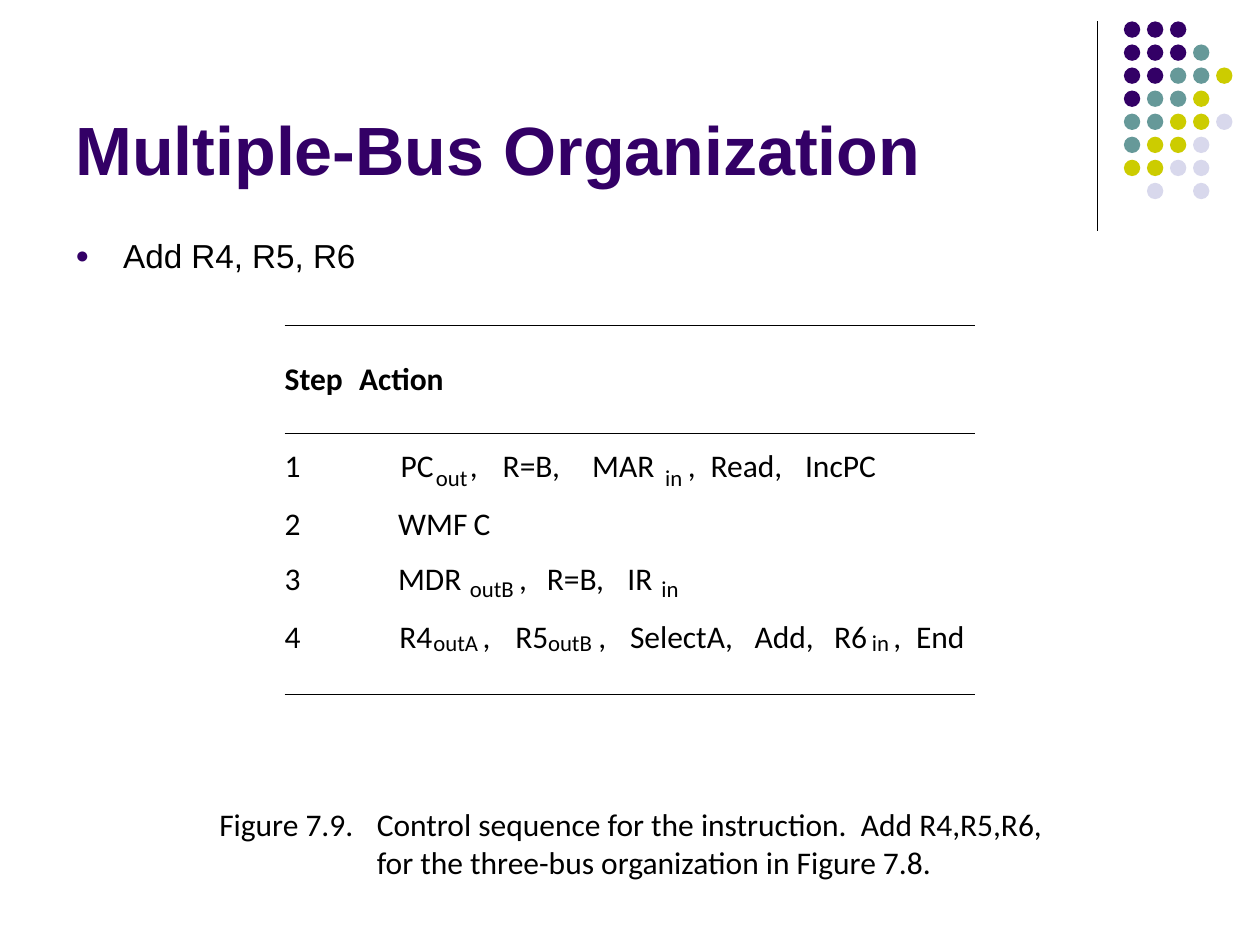
from lxml.etree import SubElement
from pptx import Presentation
from pptx.dml.color import RGBColor
from pptx.enum.shapes import MSO_CONNECTOR, MSO_SHAPE
from pptx.enum.text import MSO_ANCHOR, MSO_AUTO_SIZE
from pptx.oxml.ns import qn
from pptx.util import Inches, Pt

PURPLE = RGBColor(0x33, 0x00, 0x66)
TEAL = RGBColor(0x66, 0x99, 0x99)
OLIVE = RGBColor(0xCC, 0xCC, 0x00)
LAVENDER = RGBColor(0xD8, 0xD8, 0xEC)
BLACK = RGBColor(0x00, 0x00, 0x00)

DOT_COLORS = {"P": PURPLE, "T": TEAL, "O": OLIVE, "L": LAVENDER}
DOT_ROWS = ["PPP", "PPPT", "PPTTO", "PTTO", "TTOOL", "TOOL", "OOLL", " L L"]
DOT_LEFT, DOT_TOP, DOT_PITCH, DOT_SIZE = 8.92, 0.17, 0.183, 0.13

TABLE_LEFT, TABLE_RIGHT = 2.26, 7.74
RULE_TOPS = [2.58, 3.44, 5.51]
HEADER_TOP = 2.85
HEADINGS = [(TABLE_LEFT, "Step"), (2.85, "Action")]
SUBSCRIPTS = {"out", "in", "outA", "outB"}

STEPS = [
    (3.54, 0.14, [(3.18, "PC"), (3.46, "out"), (3.73, ","), (3.99, "R=B,"), (4.7, "MAR"),
                  (5.28, "in"), (5.46, ","), (5.64, "Read,"), (6.39, "IncPC")]),
    (4.0, 0, [(3.16, "WMF"), (3.76, "C")]),
    (4.44, 0.12, [(3.16, "MDR"), (3.73, "outB"), (4.12, ","), (4.34, "R=B,"),
                  (4.98, "IR"), (5.25, "in")]),
    (4.9, 0.09, [(3.17, "R4"), (3.44, "outA"), (3.83, ","), (4.09, "R5"), (4.35, "outB"),
                 (4.75, ","), (5.0, "SelectA,"), (5.99, "Add,"), (6.62, "R6"),
                 (6.92, "in"), (7.09, ","), (7.27, "End")]),
]

WIDTHS = {
    "Step": 0.55, "Action": 0.81, "1": 0.14, "2": 0.14, "3": 0.14, "4": 0.14,
    "PC": 0.31, "out": 0.29, ",": 0.07, "R=B,": 0.53, "MAR": 0.54, "in": 0.16,
    "Read,": 0.66, "IncPC": 0.67, "WMF": 0.59, "C": 0.16, "MDR": 0.57, "IR": 0.24,
    "outA": 0.4, "outB": 0.4, "R4": 0.3, "R5": 0.3, "R6": 0.3,
    "SelectA,": 0.92, "Add,": 0.54, "End": 0.45,
}


def set_font(paragraph, name, size, color=BLACK, bold=False):
    font = paragraph.font
    font.name = name
    font.size = Pt(size)
    font.bold = bold
    font.color.rgb = color


def add_text_box(slide, left, top, width, height):
    text_box = slide.shapes.add_textbox(Inches(left), Inches(top), Inches(width), Inches(height))
    text_box.text_frame.word_wrap = True
    return text_box.text_frame


def add_tight_text_box(slide, left, top, width, height):
    frame = add_text_box(slide, left, top, width, height)
    frame.word_wrap = False
    frame.auto_size = MSO_AUTO_SIZE.SHAPE_TO_FIT_TEXT
    frame.margin_left = frame.margin_right = frame.margin_top = frame.margin_bottom = 0
    return frame


def add_line(slide, start, end, width):
    line = slide.shapes.add_connector(MSO_CONNECTOR.STRAIGHT, *map(Inches, start + end))
    line.line.color.rgb = BLACK
    line.line.width = Pt(width)
    SubElement(line._element.spPr, qn("a:effectLst"))


def add_dots(slide):
    for row, codes in enumerate(DOT_ROWS):
        for column, code in enumerate(codes):
            if code == " ":
                continue
            dot = slide.shapes.add_shape(
                MSO_SHAPE.OVAL,
                Inches(DOT_LEFT + column * DOT_PITCH), Inches(DOT_TOP + row * DOT_PITCH),
                Inches(DOT_SIZE), Inches(DOT_SIZE))
            dot.shadow.inherit = False
            dot.fill.solid()
            dot.fill.fore_color.rgb = DOT_COLORS[code]
            dot.line.fill.background()


def add_title(slide, text):
    frame = add_text_box(slide, 0.5, 0.13, 8.25, 1.42)
    frame.vertical_anchor = MSO_ANCHOR.BOTTOM
    paragraph = frame.paragraphs[0]
    paragraph.text = text
    set_font(paragraph, "Arial", 39, PURPLE, True)


def add_bullet(slide, text):
    paragraph = add_text_box(slide, 0.5, 1.88, 9, 0.37).paragraphs[0]
    paragraph.text = text
    paragraph.line_spacing = 0.8
    paragraph.space_before = Pt(4.8)
    properties = paragraph._p.get_or_add_pPr()
    properties.set("marL", str(Inches(0.38)))
    properties.set("indent", str(-Inches(0.38)))
    bullet_color = SubElement(properties, qn("a:buClr"))
    SubElement(bullet_color, qn("a:srgbClr"), val=str(PURPLE))
    SubElement(properties, qn("a:buSzPct"), val="70000")
    SubElement(properties, qn("a:buFont"), typeface="Arial")
    SubElement(properties, qn("a:buChar"), char="●")
    set_font(paragraph, "Arial", 19)


def add_term(slide, left, top, text, drop=0, bold=False):
    is_subscript = text in SUBSCRIPTS
    size, height = (13, 0.22) if is_subscript else (18, 0.3)
    frame = add_tight_text_box(
        slide, left, top + (drop if is_subscript else 0), WIDTHS[text], height)
    paragraph = frame.paragraphs[0]
    paragraph.text = text
    set_font(paragraph, "Calibri", size, bold=bold)


def add_control_sequence(slide):
    for top in RULE_TOPS:
        add_line(slide, (TABLE_LEFT, top), (TABLE_RIGHT, top), 0.5)
    for left, heading in HEADINGS:
        add_term(slide, left, HEADER_TOP, heading, bold=True)
    for number, (top, drop, terms) in enumerate(STEPS, start=1):
        add_term(slide, TABLE_LEFT, top, str(number))
        for left, text in terms:
            add_term(slide, left, top, text, drop)


def add_caption(slide, lines):
    frame = add_tight_text_box(slide, 1.74, 6.39, 7.32, 0.6)
    for index, line in enumerate(lines):
        paragraph = frame.add_paragraph() if index else frame.paragraphs[0]
        paragraph.text = line
        tab_list = SubElement(paragraph._p.get_or_add_pPr(), qn("a:tabLst"))
        SubElement(tab_list, qn("a:tab"), pos=str(Inches(1.25)), algn="l")
        set_font(paragraph, "Calibri", 18)


def main():
    presentation = Presentation()
    presentation.slide_width = Inches(10)
    presentation.slide_height = Inches(7.5)
    slide = presentation.slides.add_slide(presentation.slide_layouts[6])
    add_line(slide, (8.71, 0.17), (8.71, 1.83), 0.75)
    add_dots(slide)
    add_title(slide, "Multiple-Bus Organization")
    add_bullet(slide, "Add R4, R5, R6")
    add_control_sequence(slide)
    add_caption(slide, [
        "Figure 7.9.\tControl sequence for the instruction.  Add R4,R5,R6,",
        "\tfor the three-bus organization in Figure 7.8.",
    ])
    presentation.save("out.pptx")


if __name__ == "__main__":
    main()
